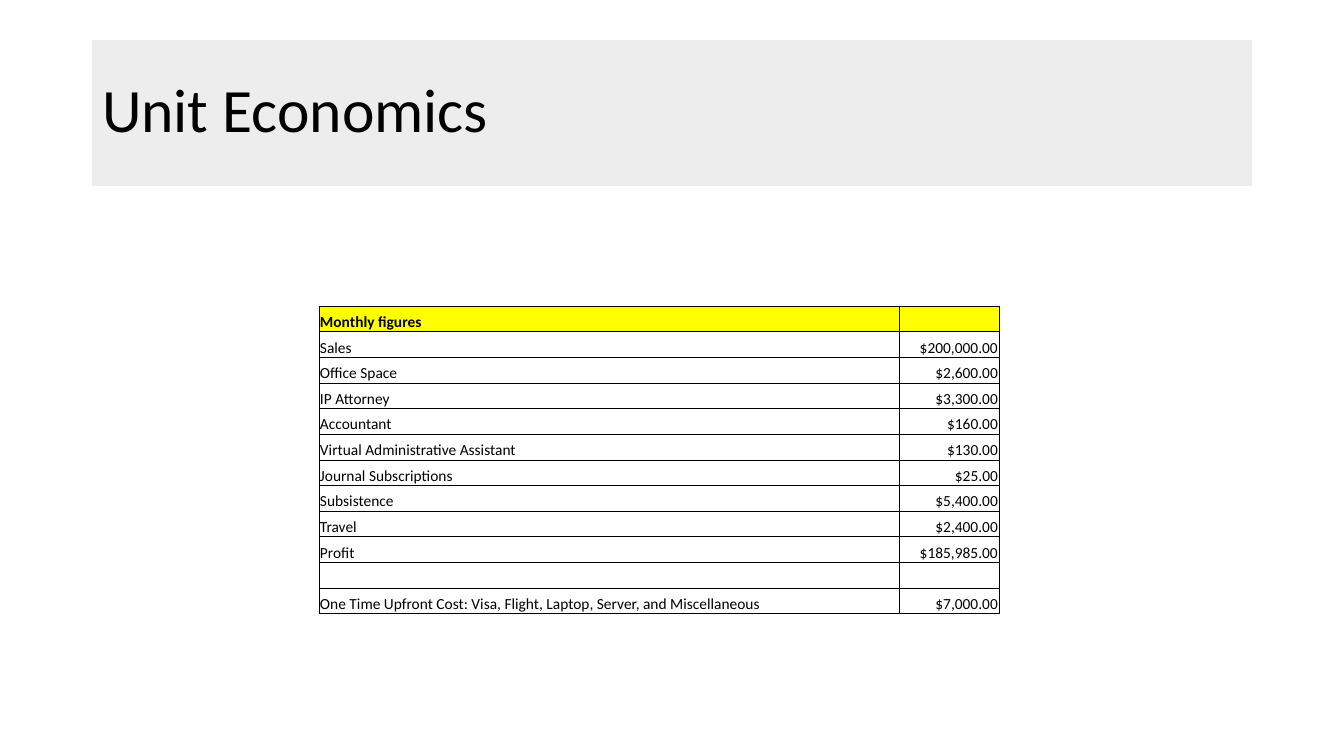
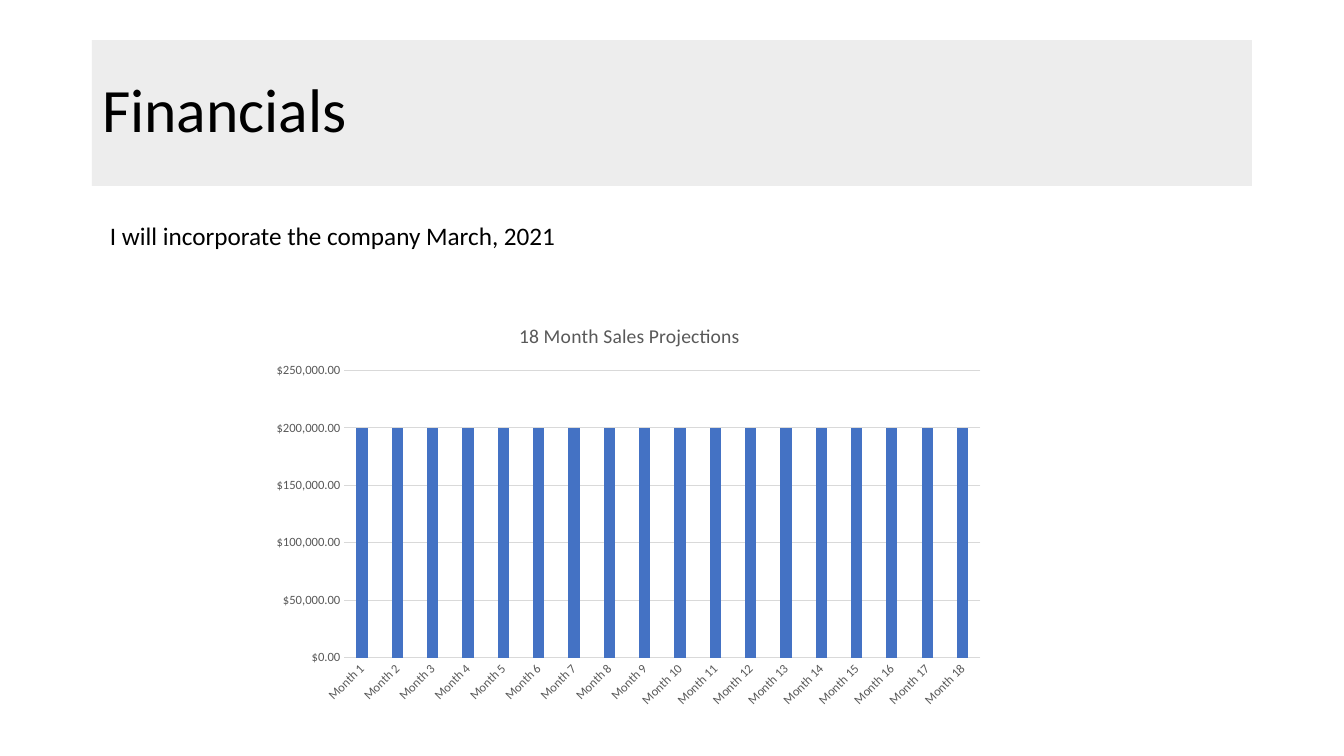
import pptx
import pptx.chart.data
import pptx.dml.color
import pptx.enum.chart
import pptx.enum.text
import pptx.oxml.ns
import pptx.util
import lxml.etree

FONT = "Calibri"
BLACK, GREY, RULE = "000000", "595959", "D9D9D9"
BAND, HIGHLIGHT, BAR = "EDEDED", "FFFF00", "4472C4"
ALIGN = pptx.enum.text.PP_ALIGN
ANCHOR = pptx.enum.text.MSO_ANCHOR
AUTO_SIZE = pptx.enum.text.MSO_AUTO_SIZE
qn = pptx.oxml.ns.qn


def px(length):
    """Turn pixels into EMU."""
    return pptx.util.Emu(round(length * 914400 / 100.8))


def rgb(code):
    """Turn a hex string into a colour."""
    return pptx.dml.color.RGBColor.from_string(code)


def set_font(font, size, color=BLACK, bold=False):
    """Give a font its face, size, colour and weight."""
    font.name, font.size, font.bold = FONT, pptx.util.Pt(size), bold
    font.color.rgb = rgb(color)


def write(frame, text, size=18, color=BLACK, bold=False, align=ALIGN.LEFT, spacing=None):
    """Write one formatted paragraph into a text frame."""
    paragraph = frame.paragraphs[0]
    paragraph.alignment = align
    paragraph.line_spacing = spacing
    if text:
        run = paragraph.add_run()
        run.text = text
        set_font(run.font, size, color, bold)
    else:
        lxml.etree.SubElement(paragraph._p, qn("a:endParaRPr"), sz=str(size * 100))


def add_borders(cell, width=0.5, color=BLACK):
    """Draw a thin line on all four sides of a table cell."""
    properties = cell._tc.get_or_add_tcPr()
    for side in ("lnL", "lnR", "lnT", "lnB"):
        line = lxml.etree.SubElement(properties, qn("a:" + side), w=str(pptx.util.Pt(width)))
        fill = lxml.etree.SubElement(line, qn("a:solidFill"))
        lxml.etree.SubElement(fill, qn("a:srgbClr"), val=color)


def place_plot(chart, **fractions):
    """Fix the inner plot area as fractions of the chart."""
    plot_area = chart._chartSpace.find(".//" + qn("c:plotArea"))
    layout = plot_area.find(qn("c:layout"))
    if layout is None:
        layout = lxml.etree.Element(qn("c:layout"))
        plot_area.insert(0, layout)
    manual = lxml.etree.SubElement(layout, qn("c:manualLayout"))
    settings = {"layoutTarget": "inner", "xMode": "edge", "yMode": "edge", **fractions}
    for tag, value in settings.items():
        lxml.etree.SubElement(manual, qn("c:" + tag), val=str(value))


class Deck:
    """Hold the presentation, its style and the current slide."""

    def __init__(self):
        """Start a widescreen presentation."""
        self.presentation = pptx.Presentation()
        self.presentation.slide_width = px(1344)
        self.presentation.slide_height = px(756)
        self.slide = None

    def start_slide(self, heading):
        """Add a slide with its heading on the grey band."""
        layout = self.presentation.slide_layouts[5]
        self.slide = self.presentation.slides.add_slide(layout)
        title = self.slide.shapes.title
        title.left, title.top, title.width, title.height = map(px, (92, 40, 1160, 146))
        title.fill.solid()
        title.fill.fore_color.rgb = rgb(BAND)
        title.text_frame.auto_size = AUTO_SIZE.NONE
        title.text_frame.vertical_anchor = ANCHOR.MIDDLE
        write(title.text_frame, heading, size=44, spacing=0.9)

    def add_text(self, text, left, top, width, height):
        """Add one line of text that does not wrap."""
        frame = self.slide.shapes.add_textbox(*map(px, (left, top, width, height))).text_frame
        frame.word_wrap = False
        frame.auto_size = AUTO_SIZE.SHAPE_TO_FIT_TEXT
        write(frame, text)

    def add_table(self, rows, left, top, widths, height):
        """Add a ruled table with a highlighted first row."""
        place = map(px, (left, top, sum(widths), height))
        table = self.slide.shapes.add_table(len(rows), len(widths), *place).table
        table.first_row = table.horz_banding = False
        for column, width in zip(table.columns, widths):
            column.width = px(width)
        for row_index, row in enumerate(rows):
            table.rows[row_index].height = px(height / len(rows))
            for column_index, text in enumerate(row):
                cell = table.cell(row_index, column_index)
                cell.margin_left = cell.margin_right = cell.margin_top = px(1)
                cell.margin_bottom = 0
                cell.vertical_anchor = ANCHOR.BOTTOM
                add_borders(cell)
                if row_index == 0:
                    cell.fill.solid()
                    cell.fill.fore_color.rgb = rgb(HIGHLIGHT)
                else:
                    cell.fill.background()
                write(cell.text_frame, text, size=11, bold=row_index == 0,
                      align=ALIGN.RIGHT if column_index else ALIGN.LEFT)

    def add_columns(self, heading, categories, values, left, top, width, height):
        """Add a column chart of dollar amounts."""
        figures = pptx.chart.data.CategoryChartData()
        figures.categories = categories
        figures.add_series("Series 1", values)
        kind = pptx.enum.chart.XL_CHART_TYPE.COLUMN_CLUSTERED
        place = map(px, (left, top, width, height))
        chart = self.slide.shapes.add_chart(kind, *place, figures).chart
        set_font(chart.font, 10)
        chart.has_legend = False
        chart.has_title = True
        write(chart.chart_title.text_frame, heading, size=14, color=GREY, align=ALIGN.CENTER)
        plot = chart.plots[0]
        plot.gap_width, plot.overlap, plot.vary_by_categories = 219, -27, False
        bars = plot.series[0].format.fill
        bars.solid()
        bars.fore_color.rgb = rgb(BAR)
        months, dollars = chart.category_axis, chart.value_axis
        for axis in (months, dollars):
            axis.major_tick_mark = axis.minor_tick_mark = pptx.enum.chart.XL_TICK_MARK.NONE
            set_font(axis.tick_labels.font, 9, GREY)
        for label_body in months._element.iter(qn("a:bodyPr")):
            label_body.set("rot", "-2700000")
        for line in (months.format.line, dollars.major_gridlines.format.line):
            line.color.rgb = rgb(RULE)
            line.width = pptx.util.Pt(0.75)
        dollars.format.line.fill.background()
        dollars.minimum_scale, dollars.maximum_scale, dollars.major_unit = 0, 250000, 50000
        dollars.tick_labels.number_format = '"$"#,##0.00'
        dollars.tick_labels.number_format_is_linked = False
        place_plot(chart, x=0.11, y=0.16, w=0.87, h=0.7)

    def save(self):
        """Save the presentation."""
        self.presentation.save("out.pptx")


MONTHLY_FIGURES = [
    ("Monthly figures", ""),
    ("Sales", "$200,000.00"),
    ("Office Space", "$2,600.00"),
    ("IP Attorney", "$3,300.00"),
    ("Accountant", "$160.00"),
    ("Virtual Administrative Assistant", "$130.00"),
    ("Journal Subscriptions", "$25.00"),
    ("Subsistence", "$5,400.00"),
    ("Travel", "$2,400.00"),
    ("Profit", "$185,985.00"),
    ("", ""),
    ("One Time Upfront Cost: Visa, Flight, Laptop, Server, and Miscellaneous", "$7,000.00"),
]

deck = Deck()
deck.start_slide("Unit Economics")
deck.add_table(MONTHLY_FIGURES, left=319, top=306, widths=(580, 100), height=308)

deck.start_slide("Financials")
month_names = [f"Month {number}" for number in range(1, 19)]
deck.add_columns("18 Month Sales Projections", month_names, [200000] * len(month_names),
                 left=264, top=305, width=731, height=410)
deck.add_text("I will incorporate the company March, 2021", left=100, top=215, width=471, height=40)
deck.save()
